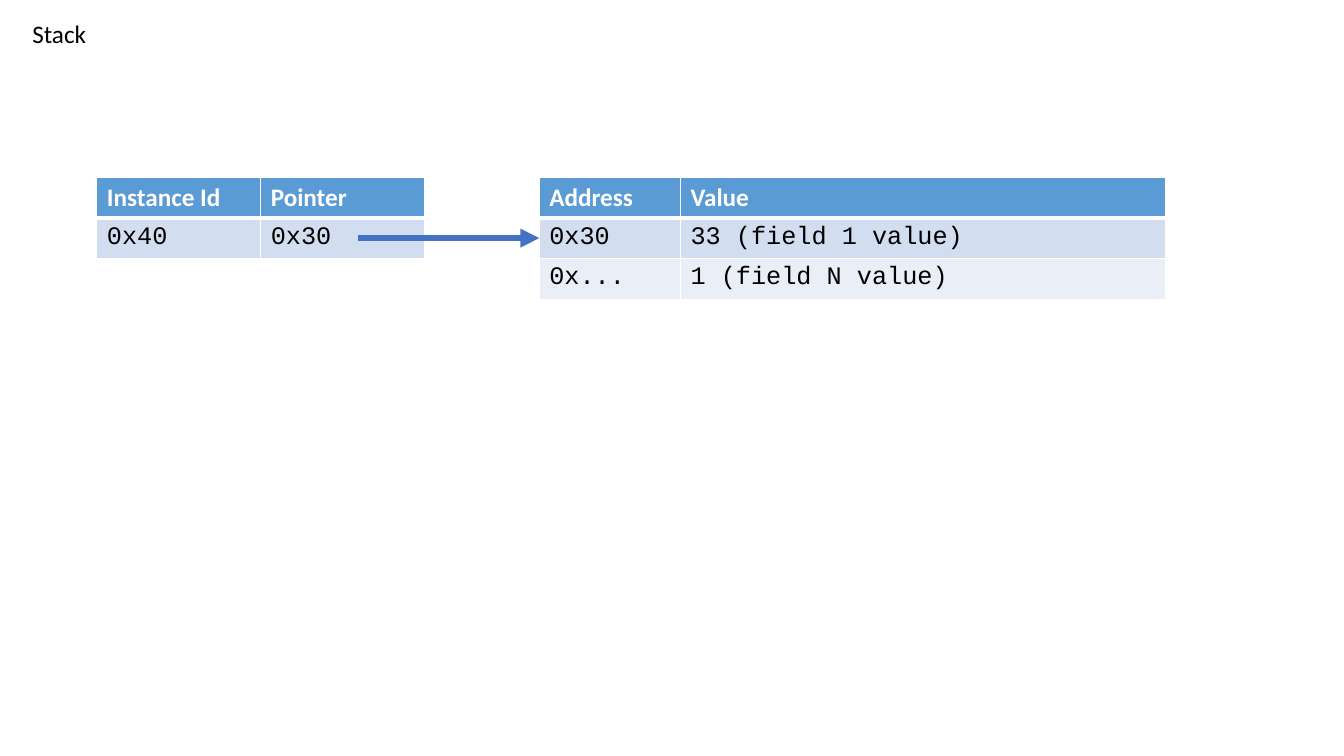
from lxml import etree
from pptx import Presentation
from pptx.dml.color import RGBColor
from pptx.enum.shapes import MSO_CONNECTOR
from pptx.enum.text import MSO_ANCHOR, MSO_AUTO_SIZE, PP_ALIGN
from pptx.oxml.ns import qn
from pptx.util import Cm, Pt

STRAIGHT = MSO_CONNECTOR.STRAIGHT
TOP = MSO_ANCHOR.TOP
LEFT = PP_ALIGN.LEFT
NO_FIT = MSO_AUTO_SIZE.NONE

WHITE, BLACK = "FFFFFF", "000000"
HEAD, BANDS = "5B9BD5", ("D2DEEF", "EAEFF7")
ARROW = "4472C4"
SANS, MONO = "Calibri", "Courier New"
ROW = 1.02


def color(code):
    """Turn a hex string into a colour."""
    return RGBColor.from_string(code)


class Board:
    """Holds the text style and the current slide."""

    def __init__(self, slide, size):
        self.slide = slide
        self.size = size

    def label(self, frame, text, font, tint, bold=False):
        """Add one styled run to the first paragraph."""
        para = frame.paragraphs[0]
        para.alignment = LEFT
        run = para.add_run()
        run.text = text
        run.font.name = font
        run.font.size = Pt(self.size)
        run.font.bold = bold
        run.font.color.rgb = color(tint)

    def title(self, text, x, y, w, h):
        """Place the slide title."""
        shape = self.slide.shapes.title
        shape.left, shape.top, shape.width, shape.height = map(Cm, (x, y, w, h))
        frame = shape.text_frame
        frame.word_wrap = False
        frame.auto_size = NO_FIT
        frame.vertical_anchor = TOP
        self.label(frame, text, SANS, BLACK)

    def edge(self, cell, side, width):
        """Draw one white border of a cell."""
        props = cell._tc.get_or_add_tcPr()
        line = etree.SubElement(props, qn("a:ln" + side), w=str(Pt(width)))
        fill = etree.SubElement(line, qn("a:solidFill"))
        etree.SubElement(fill, qn("a:srgbClr"), val=WHITE)

    def table(self, rows, x, y, widths):
        """Add a table with a header row and banded body rows."""
        frame = self.slide.shapes.add_table(
            len(rows), len(widths), Cm(x), Cm(y), Cm(sum(widths)), Cm(ROW * len(rows)))
        grid = frame.table
        for col, width in zip(grid.columns, widths):
            col.width = Cm(width)
        for i, row in enumerate(rows):
            grid.rows[i].height = Cm(ROW)
            top = i == 0
            for j, text in enumerate(row):
                cell = grid.cell(i, j)
                for side in "LRTB":
                    thick = (i, side) in ((0, "B"), (1, "T"))
                    self.edge(cell, side, 3 if thick else 1)
                cell.fill.solid()
                cell.fill.fore_color.rgb = color(HEAD if top else BANDS[(i - 1) % 2])
                self.label(cell.text_frame, text, SANS if top else MONO,
                           WHITE if top else BLACK, top)

    def arrow(self, x, y, end):
        """Add a level arrow pointing right."""
        link = self.slide.shapes.add_connector(STRAIGHT, Cm(x), Cm(y), Cm(end), Cm(y))
        link.line.width = Pt(4.5)
        link.line.color.rgb = color(ARROW)
        etree.SubElement(link.line._get_or_add_ln(), qn("a:tailEnd"), type="triangle")
        etree.SubElement(link._element.spPr, qn("a:effectLst"))


def main():
    """Build the stack slide."""
    deck = Presentation()
    deck.slide_width, deck.slide_height = Cm(33.87), Cm(19.05)
    board = Board(deck.slides.add_slide(deck.slide_layouts[5]), 18)
    top, heap = 4.47, 13.59
    board.table([("Instance Id", "Pointer"), ("0x40", "0x30")], 2.44, top, (4.13, 4.13))
    board.table([("Address", "Value"),
                 ("0x30", "33 (field 1 value)"),
                 ("0x...", "1 (field N value)")], heap, top, (3.56, 12.22))
    board.title("Stack", 0.56, 0.33, 1.88, 1.02)
    board.arrow(9.02, top + 1.5 * ROW, heap)
    deck.save("out.pptx")


if __name__ == "__main__":
    main()
